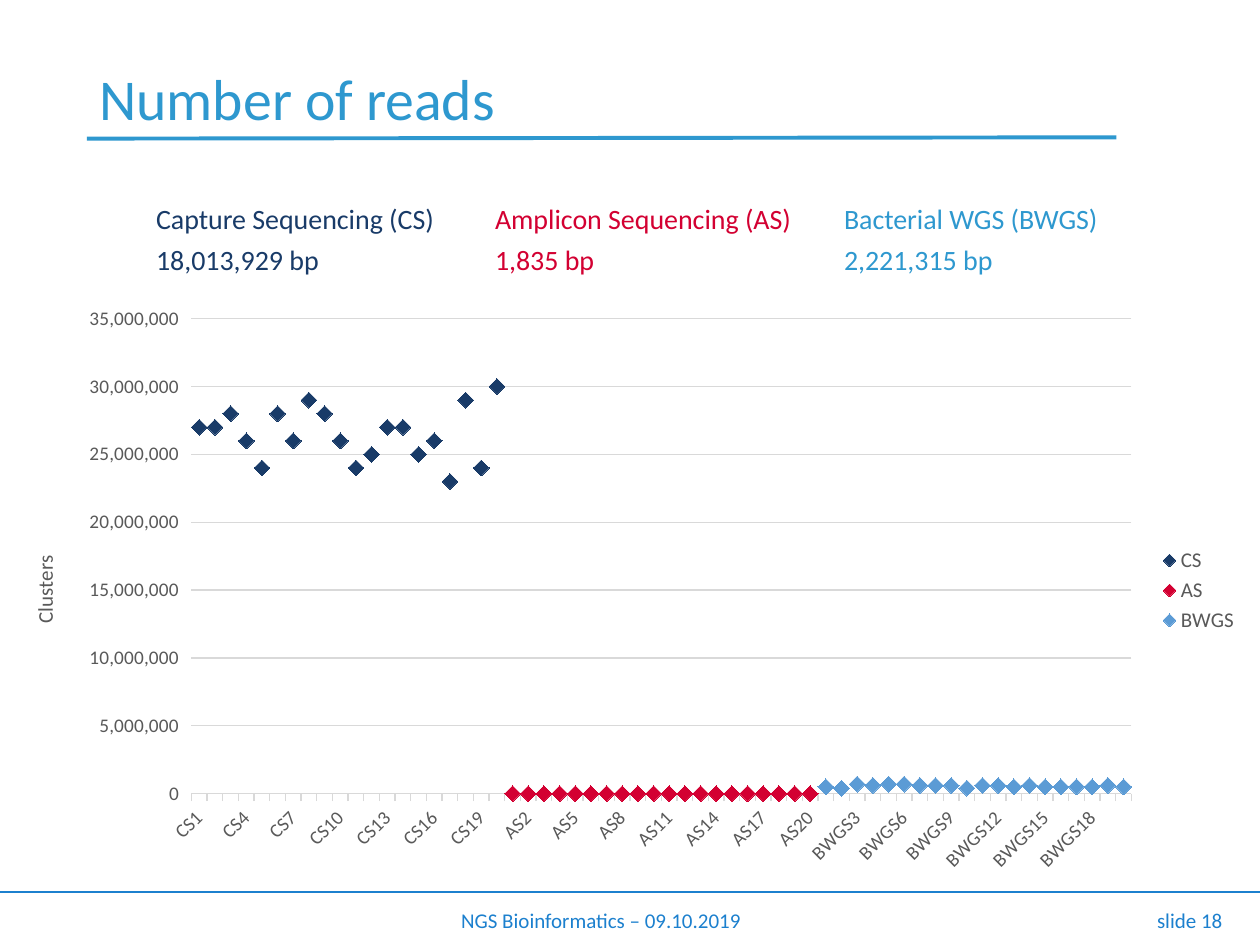
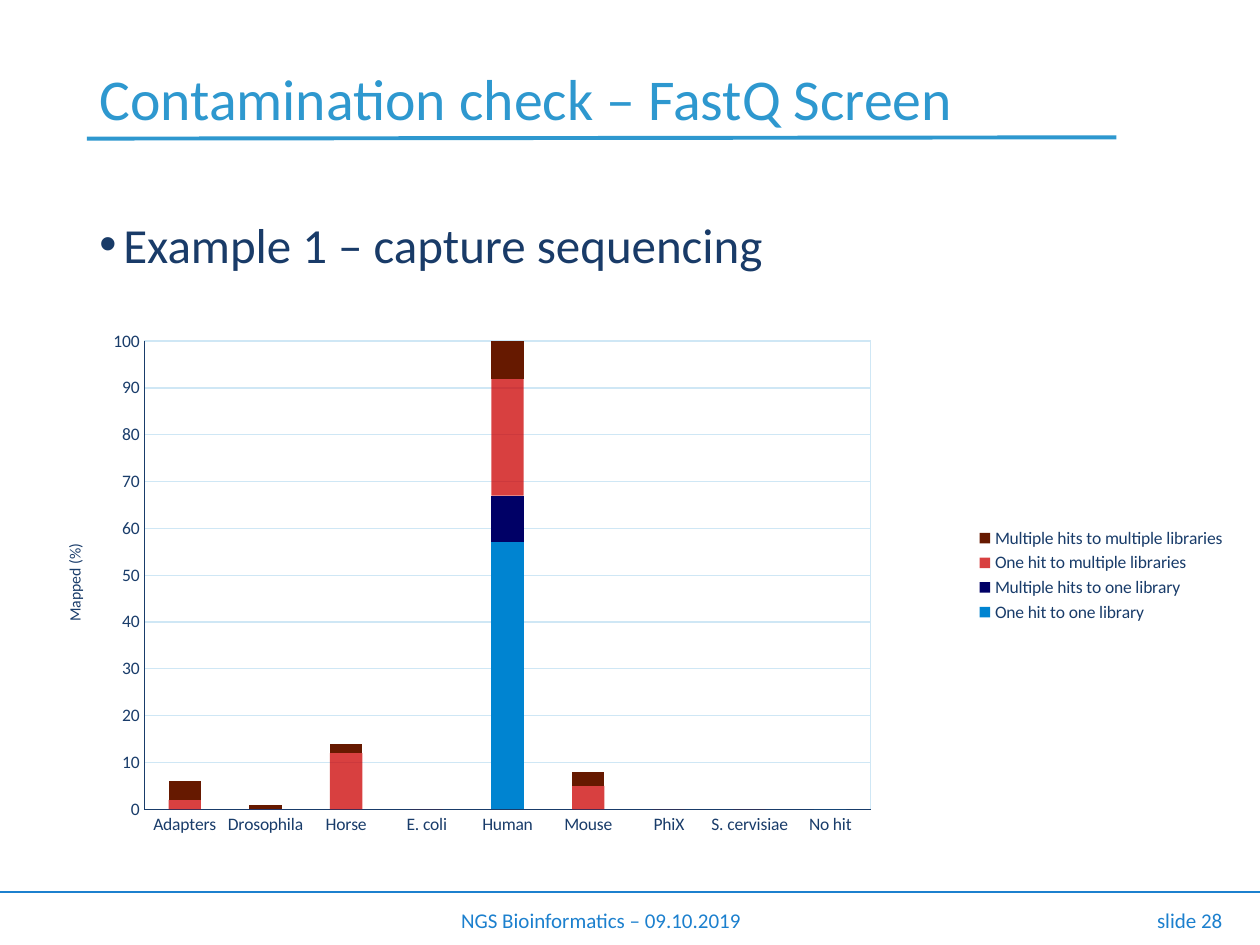
"""Build two slides on sequencing read counts and contamination checks."""
import pptx
import pptx.chart.data
import pptx.dml.color
import pptx.enum.chart
import pptx.enum.shapes
import pptx.enum.text
import pptx.oxml
import pptx.oxml.ns
import pptx.util
from pptx.util import Inches

COLORS = {
    "title": "2E98CF", "footer": "1C80CE", "navy": "193B68", "red": "D30032",
    "bwgs": "5B9BD5", "gray": "595959", "gray_grid": "D9D9D9",
    "axis": "193C6A", "pale_grid": "CFE7F5", "one_one": "0084D1",
    "many_one": "000066", "one_many": "CC0000", "many_many": "661900",
}
FONT = "Calibri"
ALIGN = pptx.enum.text.PP_ALIGN
ANCHOR = pptx.enum.text.MSO_ANCHOR
CHART_TYPE = pptx.enum.chart.XL_CHART_TYPE
TICK = pptx.enum.chart.XL_TICK_MARK


def rgb(color):
    return pptx.dml.color.RGBColor.from_string(COLORS[color])


def set_values(target, values):
    for name, value in values.items():
        setattr(target, name, value)


def set_font(font, size, color):
    set_values(font, {"name": FONT, "size": pptx.util.Pt(size), "bold": False})
    font.color.rgb = rgb(color)


def set_line(line, color, width=0.75):
    line.color.rgb = rgb(color)
    line.width = pptx.util.Pt(width)


def make_xml(tag, content="", attributes=""):
    namespaces = pptx.oxml.ns.nsdecls("a", "c")
    return pptx.oxml.parse_xml(f"<{tag} {namespaces} {attributes}>{content}</{tag}>")


class Deck:
    def __init__(self):
        self.presentation = pptx.Presentation()
        set_values(self.presentation, {"slide_width": Inches(10), "slide_height": Inches(7.5)})
        self.slide = None

    def new_slide(self, title, number):
        self.slide = self.presentation.slides.add_slide(self.presentation.slide_layouts[6])
        self.line((0, 7.08), (10, 7.08), "footer", 1)
        self.text((3.23, 7.15, 3.08, 0.3), [("NGS Bioinformatics – 09.10.2019", "footer")], 12,
                  {"alignment": ALIGN.CENTER})
        self.line((0.69, 1.1), (8.86, 1.09), "title", 2.25)
        self.text((8.14, 7.15, 1.66, 0.3), [(f"slide {number}", "footer")], 12,
                  {"alignment": ALIGN.RIGHT})
        self.text((0.69, 0.08, 8.62, 1.45), [(title, "title")], 33,
                  {"line_spacing": 0.9}, anchor=ANCHOR.MIDDLE)

    def line(self, start, end, color, width):
        connector = self.slide.shapes.add_connector(
            pptx.enum.shapes.MSO_CONNECTOR.STRAIGHT, *map(Inches, start + end))
        set_line(connector.line, color, width)
        connector.element.spPr.append(make_xml("a:effectLst"))

    def text(self, box, runs, size, paragraph_format=None, anchor=ANCHOR.TOP,
             tabs=(), bullet=None):
        shape = self.slide.shapes.add_textbox(*map(Inches, box))
        set_values(shape.text_frame, {"word_wrap": True, "vertical_anchor": anchor})
        paragraph = shape.text_frame.paragraphs[0]
        set_values(paragraph, paragraph_format or {})
        properties = paragraph._p.get_or_add_pPr()
        if bullet:
            properties.set("marL", str(Inches(0.19)))
            properties.set("indent", str(Inches(-0.19)))
            properties.append(make_xml("a:buFont", attributes='typeface="Arial"'))
            properties.append(make_xml("a:buChar", attributes=f'char="{bullet}"'))
        if tabs:
            stops = "".join(f'<a:tab pos="{Inches(tab)}" algn="l"/>' for tab in tabs)
            properties.append(make_xml("a:tabLst", stops))
        for content, color in runs:
            run = paragraph.add_run()
            run.text = content
            set_font(run.font, size, color)

    def chart(self, kind, box, categories, series, style):
        data = pptx.chart.data.CategoryChartData()
        data.categories = categories
        for name, values, _ in series:
            data.add_series(name, values)
        chart = self.slide.shapes.add_chart(kind, *map(Inches, box), data).chart
        set_values(chart, {"has_title": False, "has_legend": True})
        set_font(chart.font, 10, style["text"])
        set_values(chart.legend, {"position": pptx.enum.chart.XL_LEGEND_POSITION.RIGHT,
                                  "include_in_layout": False})
        set_font(chart.legend.font, style["legend_size"], style["text"])
        for axis in (chart.category_axis, chart.value_axis):
            set_values(axis, {"major_tick_mark": style["tick"], "minor_tick_mark": TICK.NONE})
            set_font(axis.tick_labels.font, style["label_size"], style["text"])
            set_line(axis.format.line, style["line"])
        value_axis = chart.value_axis
        set_values(value_axis, style["scale"])
        set_values(value_axis.tick_labels, {"number_format": style["number_format"],
                                            "number_format_is_linked": False})
        set_line(value_axis.major_gridlines.format.line, style["grid"])
        value_axis.axis_title.text_frame.text = style["axis_title"]
        title_run = value_axis.axis_title.text_frame.paragraphs[0].runs[0]
        set_font(title_run.font, style["title_size"], style["text"])
        chart.plots[0].vary_by_categories = False
        self.place_plot(chart, box[2:], style["plot_target"], style["plot_box"])
        return chart

    def place_plot(self, chart, chart_size, target, plot_box):
        plot_area = chart.element.xpath("//c:plotArea")[0]
        for layout in plot_area.xpath("c:layout"):
            plot_area.remove(layout)
        parts = f'<c:layoutTarget val="{target}"/><c:xMode val="edge"/><c:yMode val="edge"/>'
        for side, length, whole in zip("xywh", plot_box, chart_size * 2):
            parts += f'<c:{side} val="{length / whole:.4f}"/>'
        plot_area.insert(0, make_xml("c:layout", f"<c:manualLayout>{parts}</c:manualLayout>"))

    def marker_chart(self, box, categories, series, style):
        chart = self.chart(CHART_TYPE.LINE_MARKERS, box, categories, series, style)
        chart.value_axis.format.line.fill.background()
        chart.element.xpath("//c:catAx/c:txPr/a:bodyPr")[0].set("rot", "-2700000")
        for line, (_, _, color) in zip(chart.plots[0].series, series):
            line.smooth = False
            line.format.line.fill.background()
            set_values(line.marker, {"style": pptx.enum.chart.XL_MARKER_STYLE.DIAMOND, "size": 9})
            line.marker.format.fill.solid()
            line.marker.format.fill.fore_color.rgb = rgb(color)
            set_line(line.marker.format.line, color)

    def stacked_chart(self, box, categories, series, style):
        chart = self.chart(CHART_TYPE.COLUMN_STACKED, box, categories, series, style)
        set_values(chart.plots[0], {"gap_width": 150, "overlap": 100})
        for bars, (_, _, color) in zip(chart.plots[0].series, series):
            bars.format.fill.solid()
            bars.format.fill.fore_color.rgb = rgb(color)
            bars.format.line.fill.background()
            if color == "one_many":
                fill_color = bars.format.fill._xPr.xpath("a:solidFill/a:srgbClr")[0]
                fill_color.append(make_xml("a:alpha", attributes='val="75000"'))
        border = f'<a:solidFill><a:srgbClr val="{COLORS[style["grid"]]}"/></a:solidFill>'
        chart.element.xpath("//c:plotArea")[0].append(
            make_xml("c:spPr", f'<a:noFill/><a:ln w="9525">{border}</a:ln>'))


def add_reads_slide(deck):
    deck.new_slide("Number of reads", 18)
    column_colors = ("navy", "red", "title")
    rows = (
        (1.55, ("Capture Sequencing (CS)", "\tAmplicon Sequencing (AS)", "\tBacterial WGS (BWGS)")),
        (1.88, ("18,013,929 bp", "\t1,835 bp", "\t2,221,315 bp")),
    )
    for top, texts in rows:
        deck.text((1.14, top, 8.18, 0.37), zip(texts, column_colors), 16, tabs=(2.69, 5.46))

    samples = 20
    clusters = {
        "CS": (1_000_000, [27, 27, 28, 26, 24, 28, 26, 29, 28, 26,
                           24, 25, 27, 27, 25, 26, 23, 29, 24, 30]),
        "AS": (1, [0] * samples),
        "BWGS": (100_000, [5, 4, 7, 6, 7, 7, 6, 6, 6, 4, 6, 6, 5, 6, 5, 5, 5, 5, 6, 5]),
    }
    categories = [f"{name}{index + 1}" for name in clusters for index in range(samples)]
    series = []
    for position, (name, (unit, counts)) in enumerate(clusters.items()):
        before = [None] * samples * position
        after = [None] * samples * (len(clusters) - 1 - position)
        values = [unit * count for count in counts]
        series.append((name, before + values + after, ("navy", "red", "bwgs")[position]))
    deck.marker_chart((0.04, 2.35, 9.89, 4.67), categories, series, {
        "text": "gray", "line": "gray_grid", "grid": "gray_grid", "tick": TICK.OUTSIDE,
        "legend_size": 12, "label_size": 11, "title_size": 12, "axis_title": "Clusters",
        "number_format": "#,##0",
        "plot_target": "inner", "plot_box": (1.48, 0.18, 7.46, 3.77),
        "scale": {"minimum_scale": 0, "maximum_scale": 35_000_000, "major_unit": 5_000_000},
    })


def add_contamination_slide(deck):
    deck.new_slide("Contamination check – FastQ Screen", 28)
    deck.text((0.69, 1.42, 8.62, 5.4), [("Example 1 – capture sequencing", "navy")], 28,
              {"line_spacing": 1.5}, bullet="•")
    categories = ["Adapters", "Drosophila", "Horse", "E. coli", "Human", "Mouse", "PhiX",
                  "S. cervisiae", "No hit"]
    series = [
        ("One hit to one library", [0, 0, 0, 0, 57, 0, 0, 0, 0], "one_one"),
        ("Multiple hits to one library", [0, 0, 0, 0, 10, 0, 0, 0, None], "many_one"),
        ("One hit to multiple libraries", [2, 0, 12, 0, 25, 5, 0, 0, None], "one_many"),
        ("Multiple hits to multiple libraries", [4, 1, 2, 0, 9, 3, 0, 0, None], "many_many"),
    ]
    deck.stacked_chart((0.22, 2.18, 9.61, 4.77), categories, series, {
        "text": "axis", "line": "axis", "grid": "pale_grid", "tick": TICK.NONE,
        "legend_size": 10, "label_size": 10, "title_size": 9, "axis_title": "Mapped (%)",
        "number_format": "General",
        "plot_target": "outer", "plot_box": (0.68, 0.45, 6.01, 3.99),
        "scale": {"minimum_scale": 0, "maximum_scale": 100, "major_unit": 10},
    })


def main():
    deck = Deck()
    add_reads_slide(deck)
    add_contamination_slide(deck)
    deck.presentation.save("out.pptx")


if __name__ == "__main__":
    main()
